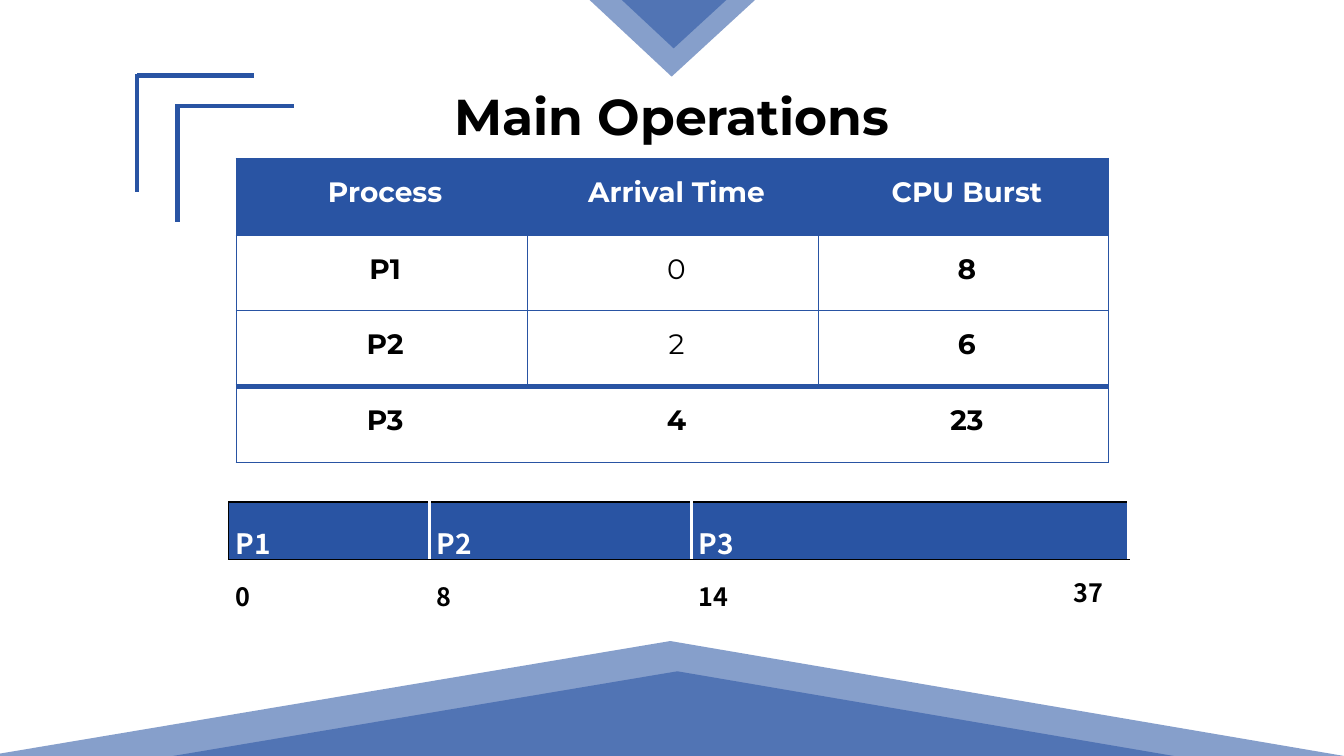
from lxml.etree import SubElement
from pptx import Presentation
from pptx.dml.color import RGBColor
from pptx.enum.shapes import MSO_CONNECTOR as Connector, MSO_SHAPE as Shape
from pptx.enum.text import PP_ALIGN as Align
from pptx.oxml.ns import qn
from pptx.util import Inches, Pt

COLORS = {"blue": "2954A3", "white": "FFFFFF", "black": "000000"}
HEADING_FONT = "Montserrat"
TIMELINE_FONT = "Noto Sans CJK SC"
THIN = ("blue", 0.5)
THICK = ("blue", 4)
OUTLINE = ("black", 1)
GAP = ("white", 2.25)
PROCESSES = [
    ("Process", "Arrival Time", "CPU Burst"),
    ("P1", "0", "8"),
    ("P2", "2", "6"),
    ("P3", "4", "23"),
]
TIMELINE = [("P1", "P2", "P3"), ("0", "8", "14")]
END_TIME = "37"


def rgb(name):
    return RGBColor.from_string(COLORS[name])


def add_triangle(slide, left, top, width, height, rotation=0):
    triangle = slide.shapes.add_shape(
        Shape.ISOSCELES_TRIANGLE, Inches(left), Inches(top), Inches(width), Inches(height))
    triangle.adjustments[0] = 0.504
    triangle.rotation = rotation
    triangle.shadow.inherit = False
    triangle.line.fill.background()
    triangle.fill.solid()
    triangle.fill.fore_color.rgb = rgb("blue")
    color = triangle.fill._xPr.find(qn("a:solidFill"))[0]
    SubElement(color, qn("a:alpha"), val="56000")


def add_bracket(slide, left, top):
    bracket = slide.shapes.add_group_shape()
    arms = [(left, top + 1.17, left, top), (left, top + 0.02, left + 1.16, top + 0.02)]
    for ends in arms:
        arm = bracket.shapes.add_connector(Connector.STRAIGHT, *map(Inches, ends))
        arm.line.color.rgb = rgb("blue")
        arm.line.width = Pt(3)
        SubElement(arm._element.spPr, qn("a:effectLst"))


def format_runs(paragraph, font, size, color, bold=True):
    for run in paragraph.runs:
        run.font.name = font
        run.font.size = Pt(size)
        run.font.bold = bold
        run.font.color.rgb = rgb(color)


def add_label(slide, text, left, top, width, height, font, size, alignment):
    label = slide.shapes.add_textbox(Inches(left), Inches(top), Inches(width), Inches(height))
    frame = label.text_frame
    frame.margin_left = frame.margin_right = frame.margin_top = frame.margin_bottom = 0
    frame.word_wrap = True
    frame.text = text
    frame.paragraphs[0].alignment = alignment
    format_runs(frame.paragraphs[0], font, size, "black")


def set_borders(cell, **borders):
    properties = cell._tc.get_or_add_tcPr()
    for side in "LRTB":
        edge = borders.get(side)
        line = SubElement(properties, qn(f"a:ln{side}"))
        if edge:
            color, width = edge
            line.set("w", str(Pt(width)))
            fill = SubElement(line, qn("a:solidFill"))
            SubElement(fill, qn("a:srgbClr"), val=COLORS[color])
        else:
            line.set("w", "0")
            SubElement(line, qn("a:noFill"))


def fill_cell(cell, color):
    if color:
        cell.fill.solid()
        cell.fill.fore_color.rgb = rgb(color)
    else:
        cell.fill.background()


def write_cell(cell, text, alignment):
    cell.margin_left = cell.margin_right = cell.margin_top = cell.margin_bottom = 0
    cell.text_frame.text = text
    paragraph = cell.text_frame.paragraphs[0]
    properties = paragraph._p.get_or_add_pPr()
    properties.set("marL", str(Inches(0.07)))
    properties.set("indent", "0")
    paragraph.alignment = alignment
    paragraph.line_spacing = 1.5
    return paragraph


def add_grid(slide, left, top, widths, heights):
    table = slide.shapes.add_table(
        len(heights), len(widths), Inches(left), Inches(top),
        Inches(sum(widths)), Inches(sum(heights))).table
    table.first_row = table.horz_banding = False
    for column, width in zip(table.columns, widths):
        column.width = Inches(width)
    for row, height in zip(table.rows, heights):
        row.height = Inches(height)
    return table


def add_process_table(slide):
    table = add_grid(slide, 2.34, 1.57, [2.89, 2.89, 2.87], [0.76, 0.75, 0.75, 0.76])
    last = len(PROCESSES) - 1
    for r, values in enumerate(PROCESSES):
        for c, value in enumerate(values):
            cell = table.cell(r, c)
            header = r == 0
            paragraph = write_cell(cell, value, Align.CENTER)
            light = c == 1 and 0 < r < last
            format_runs(paragraph, HEADING_FONT, 20, "white" if header else "black", not light)
            inner = THIN if 0 < r < last else None
            set_borders(
                cell,
                L=THIN if c == 0 else inner,
                R=THIN if c == 2 else inner,
                T=THICK if r == last else THIN,
                B=THICK if r == last - 1 else THIN)
            fill_cell(cell, "blue" if header else None)


def add_timeline(slide):
    table = add_grid(slide, 2.27, 4.98, [1.99, 2.6, 4.33], [0.57, 0.57])
    for r, values in enumerate(TIMELINE):
        for c, value in enumerate(values):
            cell = table.cell(r, c)
            bar = r == 0
            paragraph = write_cell(cell, value, Align.LEFT)
            format_runs(paragraph, TIMELINE_FONT, 20 if bar else 18, "white" if bar else "black")
            if bar:
                set_borders(cell, L=GAP if c else OUTLINE, R=GAP, T=OUTLINE, B=OUTLINE)
            else:
                set_borders(cell, T=OUTLINE)
            fill_cell(cell, "blue" if bar else None)
    add_label(slide, END_TIME, 10.34, 5.73, 0.6, 0.36, TIMELINE_FONT, 18, Align.RIGHT)


def main():
    deck = Presentation()
    deck.slide_width = Inches(13.33)
    deck.slide_height = Inches(7.5)
    slide = deck.slides.add_slide(deck.slide_layouts[6])
    add_bracket(slide, 1.76, 1.03)
    add_triangle(slide, 5.58, -0.25, 2.18, 1.01, 180)
    add_triangle(slide, 5.6, -0.53, 2.18, 1.01, 180)
    add_triangle(slide, -0.07, 6.66, 13.47, 1.14)
    add_triangle(slide, -0.14, 6.36, 13.47, 1.14)
    add_label(slide, "Main Operations", 4.41, 0.84, 4.51, 0.61, HEADING_FONT, 36, Align.CENTER)
    add_process_table(slide)
    add_bracket(slide, 1.36, 0.73)
    add_timeline(slide)
    deck.save("out.pptx")


if __name__ == "__main__":
    main()
